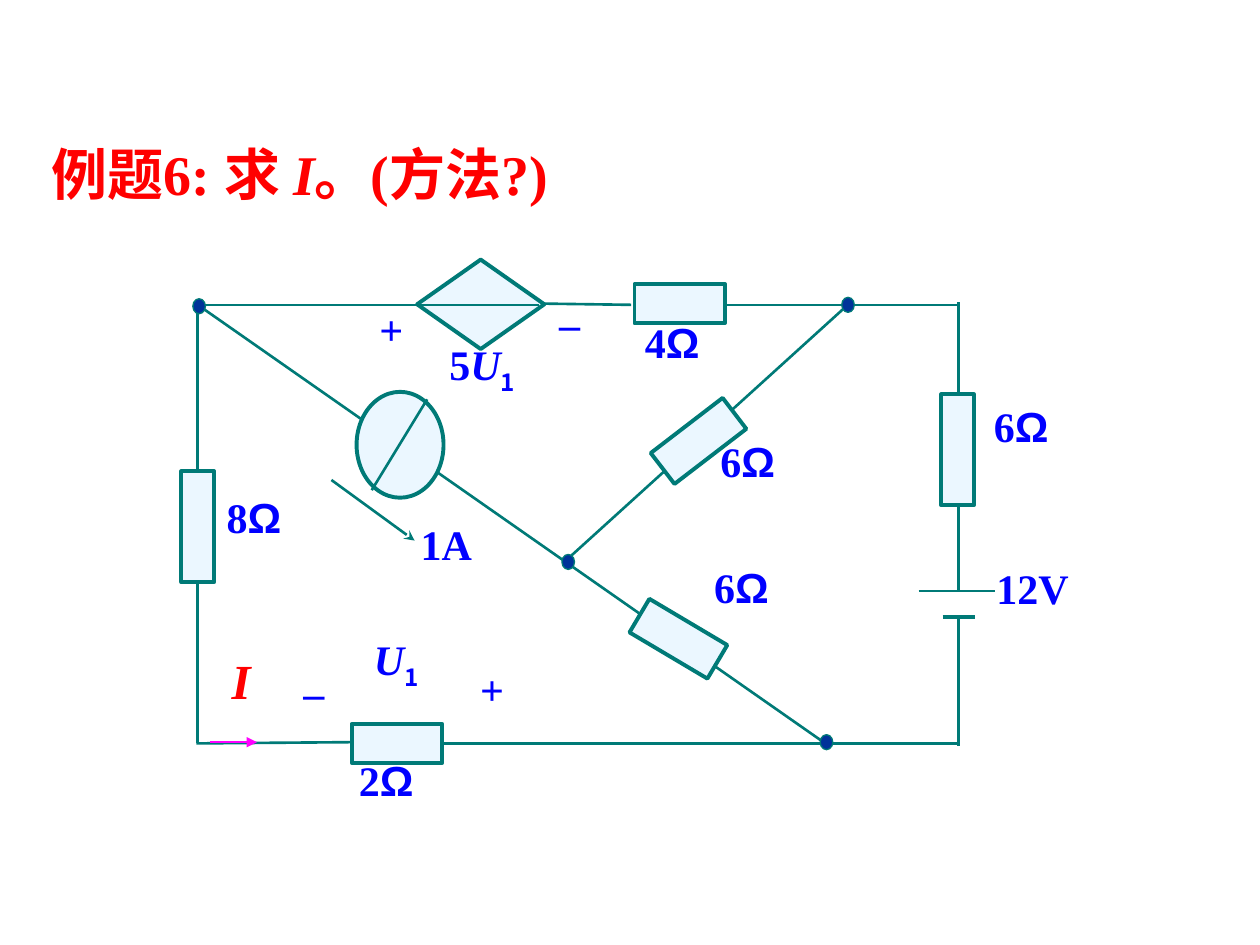
from pptx import Presentation
from pptx.dml.color import RGBColor
from pptx.enum.shapes import MSO_CONNECTOR, MSO_SHAPE
from pptx.enum.text import MSO_ANCHOR, PP_ALIGN
from pptx.oxml.ns import qn
from pptx.util import Pt
from lxml.etree import SubElement

TEAL = RGBColor(0x00, 0x7A, 0x77)
PALE = RGBColor(0xEB, 0xF7, 0xFF)
NAVY = RGBColor(0x00, 0x33, 0x99)
BLUE = RGBColor(0x00, 0x00, 0xFF)
RED = RGBColor(0xFF, 0x00, 0x00)
MAGENTA = RGBColor(0xFF, 0x00, 0xFF)

LATIN, SYMBOL, CHINESE = "Times New Roman", "Arial", "Noto Sans CJK SC"

# Rails of the circuit
LEFT, RIGHT, TOP, BOTTOM = 113, 547.7, 174.2, 424.8


def add_wire(page, start, end, color=TEAL, width=1.5, arrow=None):
    points = [Pt(value) for value in (*start, *end)]
    wire = page.shapes.add_connector(MSO_CONNECTOR.STRAIGHT, *points)
    wire.line.color.rgb = color
    wire.line.width = Pt(width)
    if arrow:
        SubElement(wire.line._get_or_add_ln(), qn("a:tailEnd"), type=arrow)
    SubElement(wire._element.spPr, qn("a:effectLst"))


def add_part(page, kind, center, size, rotation=0, fill=PALE, width=2.25):
    (x, y), (w, h) = center, size
    part = page.shapes.add_shape(kind, Pt(x - w / 2), Pt(y - h / 2), Pt(w), Pt(h))
    part.rotation = rotation
    part.shadow.inherit = False
    part.fill.solid()
    part.fill.fore_color.rgb = fill
    part.line.color.rgb = TEAL
    part.line.width = Pt(width)


def add_text(page, spans, left, top, width, height, size=24, color=BLUE, sign=False):
    """Each span is its text and a style: "", "italic", "symbol" or "sub"."""
    box = page.shapes.add_textbox(Pt(left), Pt(top), Pt(width), Pt(height))
    frame = box.text_frame
    frame.word_wrap = not sign
    para = frame.paragraphs[0]
    if sign:
        frame.vertical_anchor = MSO_ANCHOR.MIDDLE
        para.alignment = PP_ALIGN.CENTER
    for text, style in spans:
        span = para.add_run()
        span.text = text
        font = span.font
        font.size = Pt(size)
        font.bold = True
        font.italic = style == "italic"
        font.color.rgb = color
        font.name = {"symbol": SYMBOL, "sub": CHINESE}.get(style, LATIN)
        properties = span._r.get_or_add_rPr()
        SubElement(properties, qn("a:ea"), typeface=CHINESE)
        if style == "symbol":
            SubElement(properties, qn("a:cs"), typeface=SYMBOL)
        if style == "sub":
            properties.set("baseline", "-25000")


def add_wires(page):
    for start, end in [
        ((LEFT, TOP), (471.6, BOTTOM)),          # long diagonal
        ((486, 172.8), (323.3, 320.4)),          # short diagonal
        ((LEFT, TOP), (239.8, TOP)),             # top rail
        ((309.6, 173.5), (360.7, TOP)),
        ((412.6, TOP), (RIGHT, TOP)),
        ((LEFT, 172.8), (LEFT, BOTTOM)),         # left rail
        ((112.3, BOTTOM), (200.9, 424.1)),       # bottom rail
        ((251.3, BOTTOM), (RIGHT, BOTTOM)),
        ((RIGHT, 172.8), (RIGHT, 226)),          # right rail
        ((RIGHT, 288), (RIGHT, 337.7)),
        ((RIGHT, 352.8), (RIGHT, 426.2)),
    ]:
        add_wire(page, start, end)


def add_sources(page):
    # Dependent voltage source
    add_part(page, MSO_SHAPE.DIAMOND, (274.7, 173.9), (72.7, 51.1))
    add_wire(page, (240.5, TOP), (308.2, TOP))
    # Current source and its direction
    add_part(page, MSO_SHAPE.OVAL, (228.6, 254.2), (49.7, 60.5))
    add_wire(page, (244.1, 228.2), (212.4, 280.1))
    add_wire(page, (189.4, 274.3), (236.9, 308.9), arrow="stealth")
    # Battery plates
    add_wire(page, (524.9, 337.7), (568.8, 337.7))
    add_wire(page, (538.6, 352.8), (557.3, 352.8), width=2.25)


def add_resistors(page):
    for center in [(LEFT, 301), (547.2, 257)]:
        add_part(page, MSO_SHAPE.RECTANGLE, center, (18.7, 63.4))
    for center, rotation in [((226.8, 424.8), 90), ((388.4, 173.5), 90),
                             ((387.7, 365), 300.7), ((399.2, 252), 52.5)]:
        add_part(page, MSO_SHAPE.RECTANGLE, center, (22.3, 51.8), rotation)


def add_nodes(page):
    for center in [(113.8, 175), (472.3, 424.1), (484.6, 174.2), (324.7, 321.1)]:
        add_part(page, MSO_SHAPE.OVAL, center, (7.2, 8.6), fill=NAVY, width=0.75)


def add_labels(page):
    # Resistances
    for ohms, left, top, width in [
        ("8", 122.4, 277.2, 65.5), ("2", 198, 427.7, 61.2), ("4", 361.4, 177.1, 66.2),
        ("6", 404.6, 245.5, 61.9), ("6", 401, 317.5, 67), ("6", 560.9, 225.4, 70.6),
    ]:
        add_text(page, [(ohms, ""), ("Ω", "symbol")], left, top, width, 36)
    # Source values and voltages
    voltage = [("U", "italic"), ("1", "sub")]
    add_text(page, [("5", ""), *voltage], 249.8, 190.1, 67, 40.3)
    add_text(page, voltage, 206.6, 358.6, 51.8, 40.3)
    add_text(page, [("1A", "")], 233.3, 293, 52.6, 36)
    add_text(page, [("12V", "")], 562.3, 318.2, 77.8, 36)
    # Polarity signs
    for mark, left, top, width in [("+", 209.5, 169.9, 28.1), ("–", 312.5, 166.3, 25.9),
                                   ("+", 267.1, 375.8, 28.1), ("–", 166.3, 377.3, 25.9)]:
        add_text(page, [(mark, "")], left, top, width, 36, sign=True)
    # Unknown current
    add_text(page, [("I", "italic")], 125.3, 367.9, 28.8, 41, size=28, color=RED)
    add_wire(page, (120.2, 424.1), (146.9, 424.1), MAGENTA, arrow="triangle")


def main():
    deck = Presentation()
    deck.slide_width, deck.slide_height = Pt(720), Pt(540)
    page = deck.slides.add_slide(deck.slide_layouts[6])
    add_text(page, [("例题6: 求 ", ""), ("I", "italic"), ("。(方法?)", "")],
             22.3, 76.3, 335.5, 84.2, size=32, color=RED)
    add_wires(page)
    add_sources(page)
    add_resistors(page)
    add_nodes(page)
    add_labels(page)
    deck.save("out.pptx")


if __name__ == "__main__":
    main()
